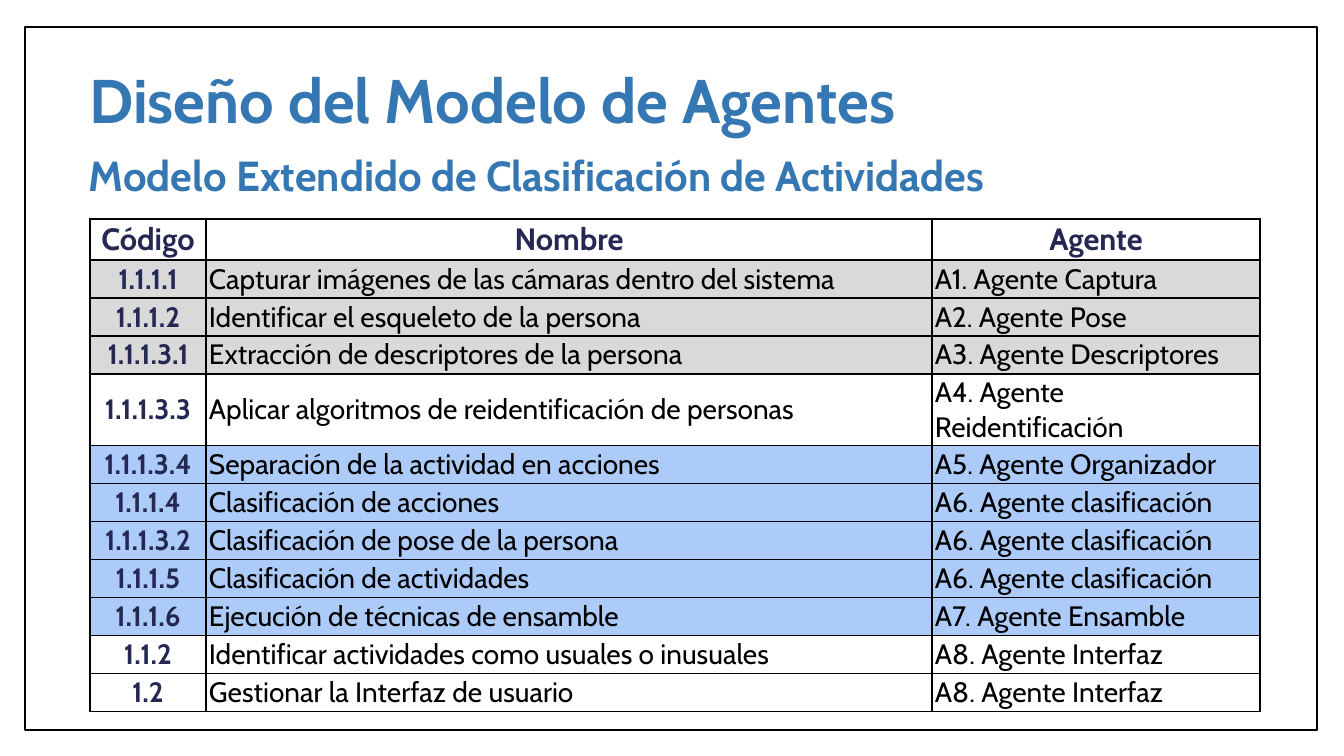
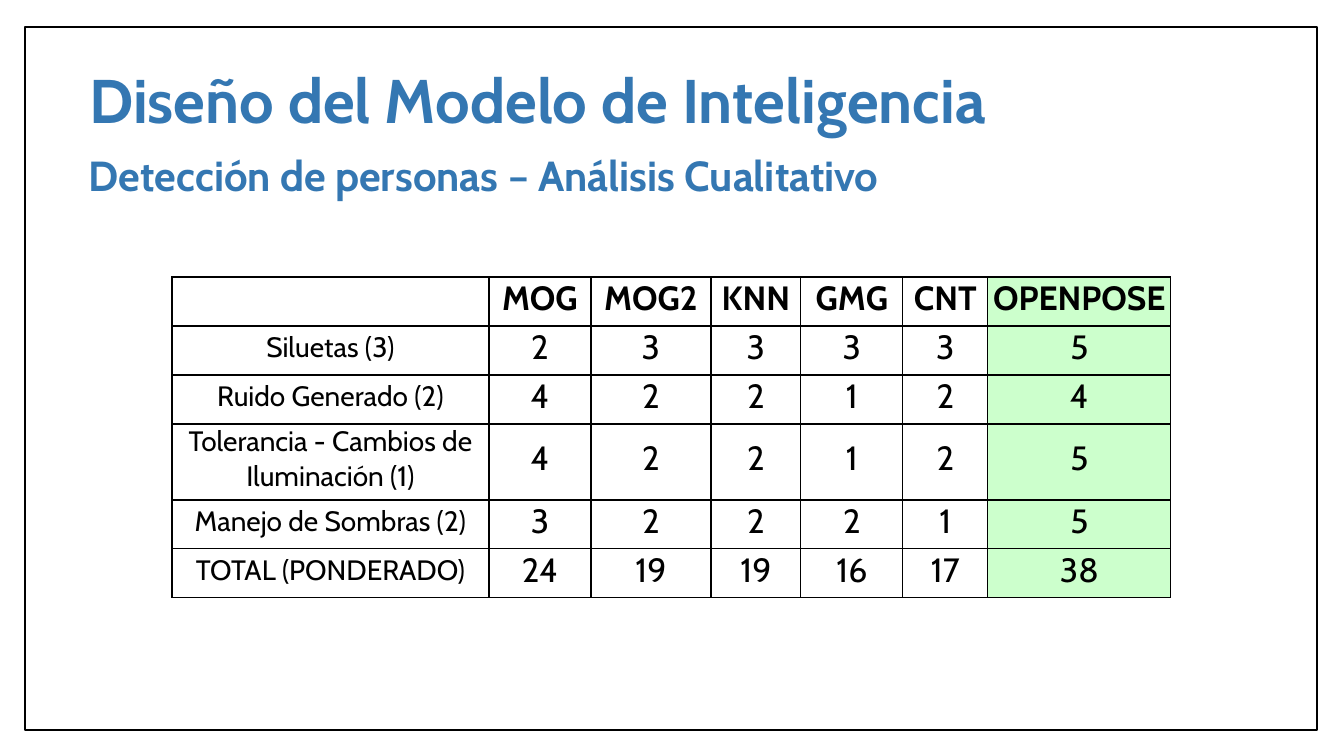
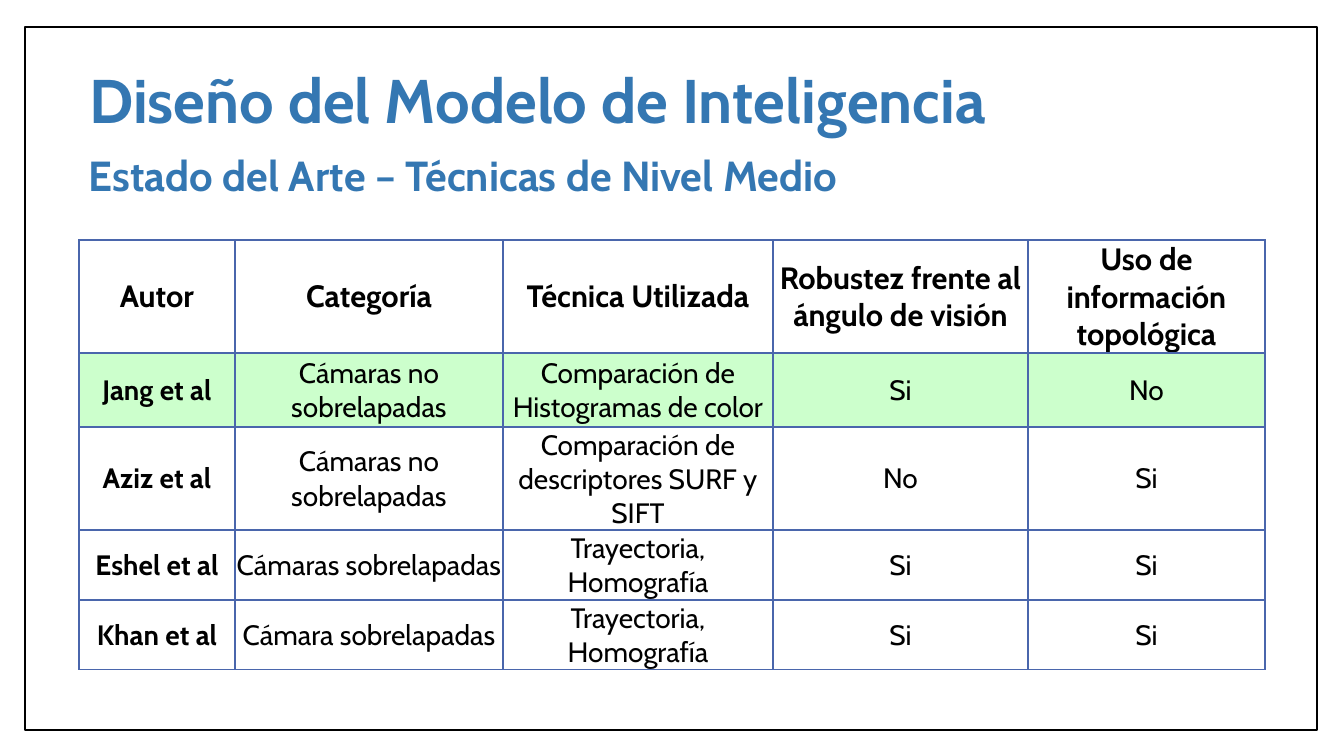
from lxml import etree
from pptx import Presentation
from pptx.dml.color import RGBColor
from pptx.enum import shapes, text
from pptx.oxml.ns import qn
from pptx.util import Emu, Pt

# Page and scale
WIDE, HIGH = 1344, 756
SCALE = 12192000 / WIDE
FONT = "Cabin"

# Colours
BLACK = RGBColor(0x00, 0x00, 0x00)
WHITE = RGBColor(0xFF, 0xFF, 0xFF)
BLUE = RGBColor(0x34, 0x77, 0xB2)
NAVY = RGBColor(0x24, 0x28, 0x52)
INDIGO = RGBColor(0x4A, 0x66, 0xAC)
GRAY = RGBColor(0xD9, 0xD9, 0xD9)
SKY = RGBColor(0xAC, 0xCB, 0xF9)
GREEN = RGBColor(0xCC, 0xFF, 0xCC)

LEFT, CENTER = text.PP_ALIGN.LEFT, text.PP_ALIGN.CENTER

# Table contents
AGENTS = [
    ("Código", "Nombre", "Agente"),
    ("1.1.1.1", "Capturar imágenes de las cámaras dentro del sistema", "A1. Agente Captura"),
    ("1.1.1.2", "Identificar el esqueleto de la persona", "A2. Agente Pose"),
    ("1.1.1.3.1", "Extracción de descriptores de la persona", "A3. Agente Descriptores"),
    ("1.1.1.3.3", "Aplicar algoritmos de reidentificación de personas", "A4. Agente Reidentificación"),
    ("1.1.1.3.4", "Separación de la actividad en acciones", "A5. Agente Organizador"),
    ("1.1.1.4", "Clasificación de acciones", "A6. Agente clasificación"),
    ("1.1.1.3.2", "Clasificación de pose de la persona", "A6. Agente clasificación"),
    ("1.1.1.5", "Clasificación de actividades", "A6. Agente clasificación"),
    ("1.1.1.6", "Ejecución de técnicas de ensamble", "A7. Agente Ensamble"),
    ("1.1.2", "Identificar actividades como usuales o inusuales", "A8. Agente Interfaz"),
    ("1.2", "Gestionar la Interfaz de usuario", "A8. Agente Interfaz"),
]
SCORES = [
    ("", "MOG", "MOG2", "KNN", "GMG", "CNT", "OPENPOSE"),
    ("Siluetas (3)", 2, 3, 3, 3, 3, 5),
    ("Ruido Generado (2)", 4, 2, 2, 1, 2, 4),
    ("Tolerancia - Cambios de Iluminación (1)", 4, 2, 2, 1, 2, 5),
    ("Manejo de Sombras (2)", 3, 2, 2, 2, 1, 5),
    ("TOTAL (PONDERADO)", 24, 19, 19, 16, 17, 38),
]
STUDIES = [
    ("Autor", "Categoría", "Técnica Utilizada", "Robustez frente al ángulo de visión",
     "Uso de información topológica"),
    ("Jang et al", "Cámaras no sobrelapadas", "Comparación de Histogramas de color", "Si", "No"),
    ("Aziz et al", "Cámaras no sobrelapadas", "Comparación de descriptores SURF y SIFT", "No", "Si"),
    ("Eshel et al", "Cámaras sobrelapadas", "Trayectoria, Homografía", "Si", "Si"),
    ("Khan et al", "Cámara sobrelapadas", "Trayectoria, Homografía", "Si", "Si"),
]


def px(*nums):
    return [Emu(round(n * SCALE)) for n in nums]


def write(frame, words, size=20, bold=False, color=BLACK, align=LEFT, space=None):
    para = frame.paragraphs[0]
    para.alignment = align
    para.line_spacing = space
    run = para.add_run()
    run.text = str(words)
    font = run.font
    font.name, font.size, font.bold = FONT, Pt(size), bold
    font.color.rgb = color


def set_up(deck):
    """Prepare the title-only layout: title place and page border."""
    layout = deck.slide_layouts[5]
    for item in list(layout.placeholders):
        if item.placeholder_format.type == shapes.PP_PLACEHOLDER.TITLE:
            item.left, item.top, item.width, item.height = px(79, 29, 1089, 149)
        else:
            layout.shapes.element.remove(item.element)
    return layout


def add_frame(slide, layout):
    """Draw the border and hand it to the layout, behind its title."""
    box = slide.shapes.add_shape(shapes.MSO_SHAPE.RECTANGLE, *px(25, 27, 1292, 703))
    box.shadow.inherit = False
    box.fill.solid()
    box.fill.fore_color.rgb = WHITE
    box.line.color.rgb = BLACK
    box.line.width = Pt(1)
    layout.shapes.element.insert(2, box.element)


def add_page(deck, layout, title, topic):
    slide = deck.slides.add_slide(layout)
    head = slide.shapes.title.text_frame
    head.auto_size = text.MSO_AUTO_SIZE.NONE
    head.vertical_anchor = text.MSO_ANCHOR.MIDDLE
    write(head, title, size=44, bold=True, color=BLUE, space=0.9)
    if len(deck.slides) == 1:
        add_frame(slide, layout)
    sub = slide.shapes.add_textbox(*px(79, 145, 945, 61)).text_frame
    sub.word_wrap = True
    write(sub, topic, size=30, bold=True, color=BLUE)
    return slide


def add_edges(cell, color):
    props = cell._tc.get_or_add_tcPr()
    for spot, side in enumerate(("lnL", "lnR", "lnT", "lnB")):
        line = etree.Element(qn("a:" + side), w=str(Pt(1)))
        fill = etree.SubElement(line, qn("a:solidFill"))
        etree.SubElement(fill, qn("a:srgbClr"), val=str(color))
        props.insert(spot, line)


def add_grid(slide, spot, cols, rows, data, look, pads, edge=BLACK):
    """Build a table; look(row, col) gives a cell's fill and text format."""
    size = sum(cols), sum(rows)
    grid = slide.shapes.add_table(len(rows), len(cols), *px(*spot, *size)).table
    grid.first_row = grid.horz_banding = False
    for col, width in zip(grid.columns, px(*cols)):
        col.width = width
    for row, height in zip(grid.rows, px(*rows)):
        row.height = height
    for r, line in enumerate(data):
        for c, words in enumerate(line):
            cell = grid.cell(r, c)
            fill, form = look(r, c)
            if fill:
                cell.fill.solid()
                cell.fill.fore_color.rgb = fill
            else:
                cell.fill.background()
            add_edges(cell, edge)
            cell.vertical_anchor = text.MSO_ANCHOR.MIDDLE
            (cell.margin_left, cell.margin_top,
             cell.margin_right, cell.margin_bottom) = px(*pads)
            if words != "":
                write(cell.text_frame, words, **form)


# Cell formats of the three tables
def agent_look(r, c):
    fill = GRAY if 1 <= r <= 3 else SKY if 5 <= r <= 9 else None
    key = r == 0 or c == 0
    return fill, dict(size=20 if r else 22, bold=key, color=NAVY if key else BLACK,
                      align=CENTER if key else LEFT)


def score_look(r, c):
    return GREEN if c == 6 else None, dict(size=24 if c else 20, bold=r == 0, align=CENTER)


def study_look(r, c):
    return GREEN if r == 1 else None, dict(size=20 if r else 22, bold=r == 0 or c == 0,
                                           align=CENTER)


def main():
    deck = Presentation()
    deck.slide_width, deck.slide_height = px(WIDE, HIGH)
    layout = set_up(deck)

    # Agents
    page = add_page(deck, layout, "Diseño del Modelo de Agentes",
                    "Modelo Extendido de Clasificación de Actividades")
    add_grid(page, (90, 219), (116, 726, 328), [41] + [38] * 3 + [72] + [38] * 7,
             AGENTS, agent_look, (3, 2, 3, 2))

    # Scores of the detectors
    page = add_page(deck, layout, "Diseño del Modelo de Inteligencia",
                    "Detección de personas – Análisis Cualitativo")
    add_grid(page, (172, 277), (317, 102, 120, 90, 102, 85, 183), (49, 49, 49, 76, 49, 49),
             SCORES, score_look, (1, 1, 1, 7))

    # State of the art
    page = add_page(deck, layout, "Diseño del Modelo de Inteligencia",
                    "Estado del Arte – Técnicas de Nivel Medio")
    add_grid(page, (79, 240), (156, 268, 270, 255, 237), (113, 74, 103, 70, 70),
             STUDIES, study_look, (1, 1, 1, 0), edge=INDIGO)

    deck.save("out.pptx")


if __name__ == "__main__":
    main()
